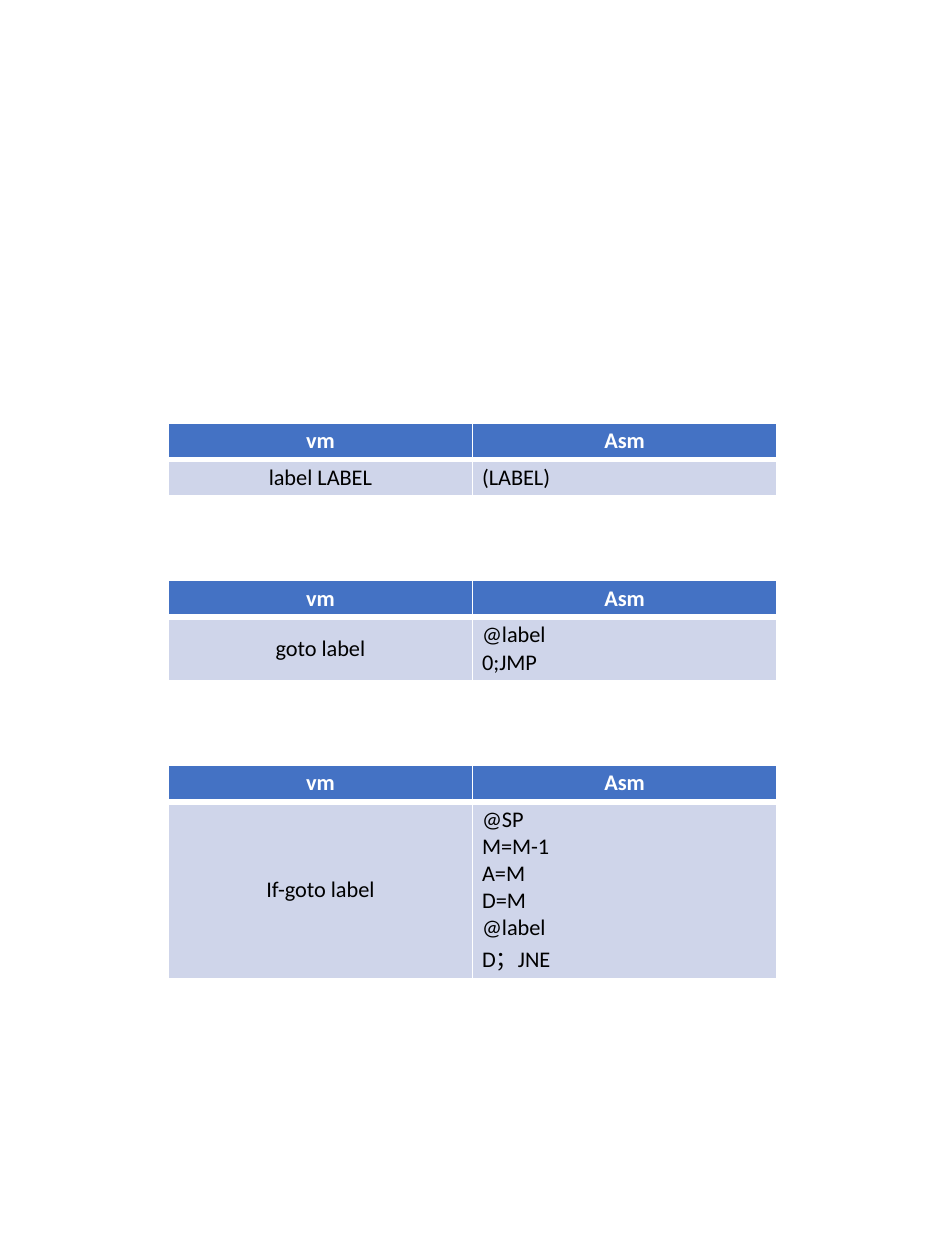
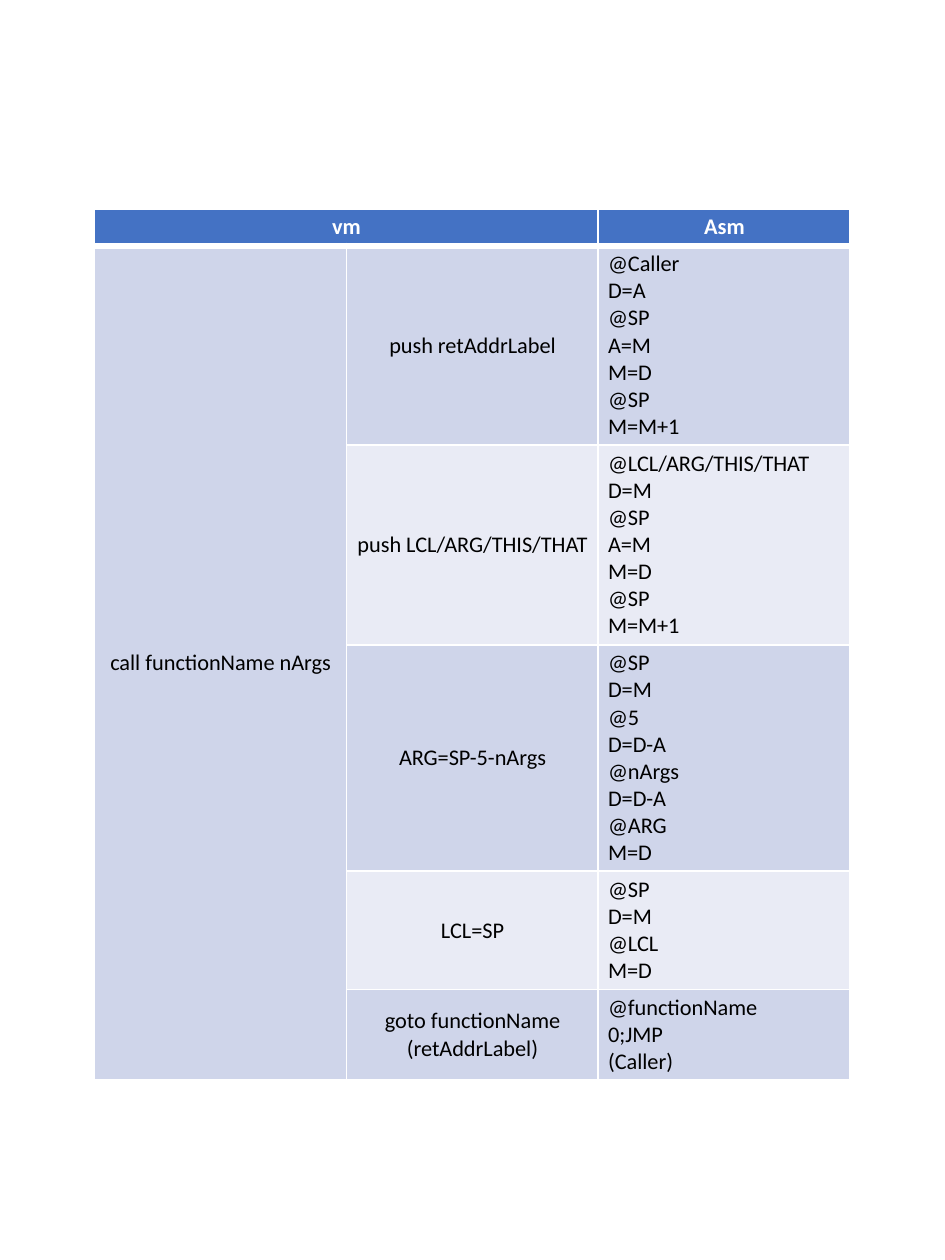
from lxml.etree import SubElement as add_element
from pptx import Presentation
from pptx.dml.color import RGBColor
from pptx.enum.text import MSO_ANCHOR as Anchor, PP_ALIGN as Align
from pptx.oxml.ns import qn
from pptx.util import Inches, Pt

# Shared look
WIDTH, HEIGHT = Inches(5.88), Inches(7.84)
FONT, SIZE = "Calibri", 10
LINE_HEIGHT, ROW_PADDING = 12.2, 4
HEADER, BANDS = "4472C4", ("CFD5EA", "E9EBF5")
WHITE, BLACK = "FFFFFF", "000000"
THIN, THICK = 1, 3

# Slide 1: (top in percent of the slide height, command, assembly lines)
JUMPS = [
    (33.55, "label LABEL", "(LABEL)"),
    (46.05, "goto label", "@label\n0;JMP"),
    (60.7, "If-goto label", "@SP\nM=M-1\nA=M\nD=M\n@label\nD；JNE"),
]

# Slide 2: steps of a function call
PUSH = "@SP\nA=M\nM=D\n@SP\nM=M+1"
CALL_STEPS = [
    ("push retAddrLabel", f"@Caller\nD=A\n{PUSH}"),
    ("push LCL/ARG/THIS/THAT", f"@LCL/ARG/THIS/THAT\nD=M\n{PUSH}"),
    ("ARG=SP-5-nArgs", "@SP\nD=M\n@5\nD=D-A\n@nArgs\nD=D-A\n@ARG\nM=D"),
    ("LCL=SP", "@SP\nD=M\n@LCL\nM=D"),
    ("goto functionName\n(retAddrLabel)", "@functionName\n0;JMP\n(Caller)"),
]


def color(value):
    return RGBColor.from_string(value)


def set_borders(cell, top, bottom):
    """White lines on all four sides; they must come before the fill."""
    properties = cell._tc.get_or_add_tcPr()
    for side, width in (("L", THIN), ("R", THIN), ("T", top), ("B", bottom)):
        line = add_element(properties, qn(f"a:ln{side}"), w=str(Pt(width)))
        fill = add_element(line, qn("a:solidFill"))
        add_element(fill, qn("a:srgbClr"), val=WHITE)


def style_cell(cell, text, row, centred):
    is_header = row == 0
    set_borders(cell, THICK if row == 1 else THIN, THICK if is_header else THIN)
    cell.fill.solid()
    cell.fill.fore_color.rgb = color(HEADER if is_header else BANDS[(row - 1) % 2])
    cell.margin_left = cell.margin_right = Inches(0.06)
    cell.margin_top = cell.margin_bottom = Inches(0.03)
    cell.vertical_anchor = Anchor.MIDDLE
    cell.text = text
    for para in cell.text_frame.paragraphs:
        para.alignment = Align.CENTER if centred else Align.LEFT
        para.font.name, para.font.size = FONT, Pt(SIZE)
        para.font.bold = is_header
        para.font.color.rgb = color(WHITE if is_header else BLACK)


def add_code_table(page, top, width, rows):
    """Centre a table on the page; top and width are percentages."""
    heights = [
        Pt(LINE_HEIGHT * max(text.count("\n") + 1 for text in row) + ROW_PADDING)
        for row in rows
    ]
    column_count = len(rows[0])
    table_width = int(WIDTH * width / 100)
    table = page.shapes.add_table(
        len(rows), column_count, (WIDTH - table_width) // 2,
        int(HEIGHT * top / 100), table_width, sum(heights),
    ).table
    table.horz_banding = False
    for row, texts in enumerate(rows):
        table.rows[row].height = heights[row]
        for column, text in enumerate(texts):
            is_code = row > 0 and column == column_count - 1
            style_cell(table.cell(row, column), text, row, not is_code)
    return table


def add_jump_page(page):
    for top, command, code in JUMPS:
        add_code_table(page, top, 64.4, [("vm", "Asm"), (command, code)])


def add_call_page(page):
    rows = [("vm", "", "Asm")]
    for index, step in enumerate(CALL_STEPS):
        rows.append(("" if index else "call functionName nArgs", *step))
    table = add_code_table(page, 16.58, 80, rows)
    table.cell(0, 0).merge(table.cell(0, 1))
    table.cell(1, 0).merge(table.cell(len(CALL_STEPS), 0))


def main():
    deck = Presentation()
    deck.slide_width, deck.slide_height = WIDTH, HEIGHT
    blank = deck.slide_layouts[6]
    for fill_page in (add_jump_page, add_call_page):
        fill_page(deck.slides.add_slide(blank))
    deck.save("out.pptx")


if __name__ == "__main__":
    main()
